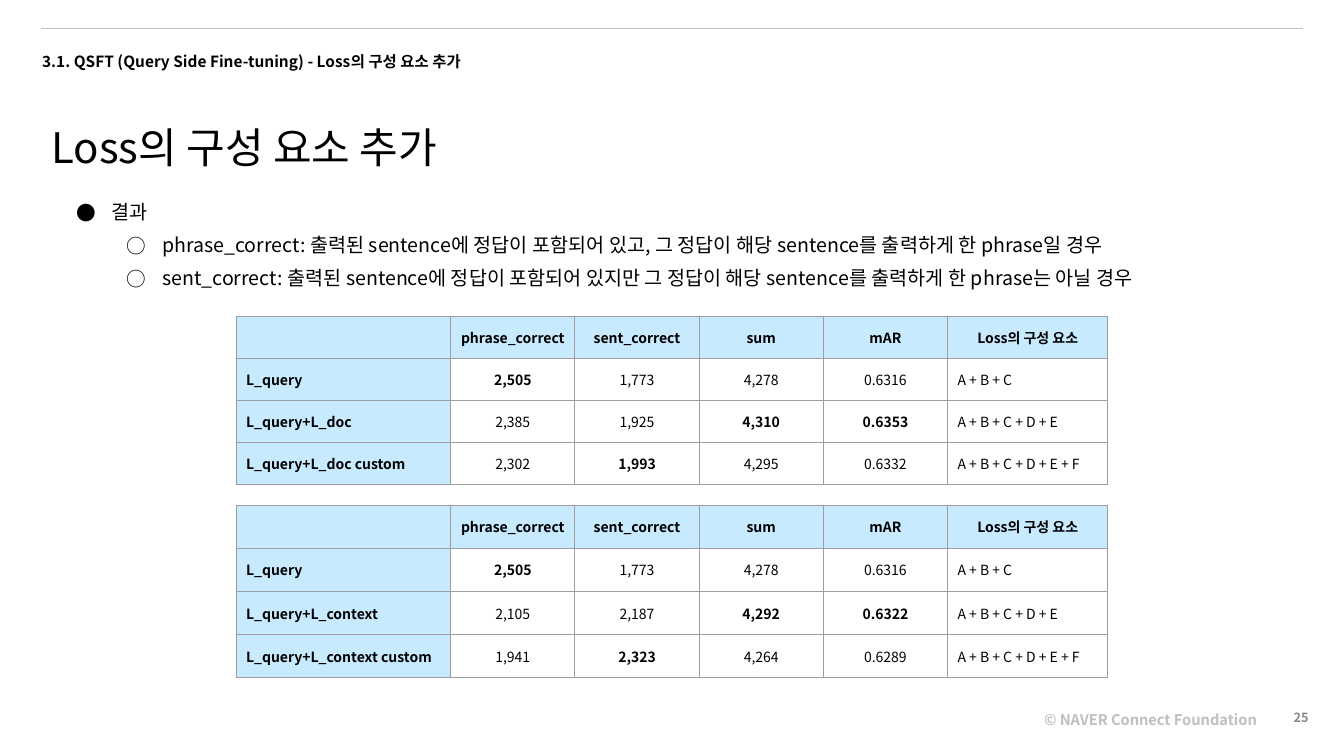
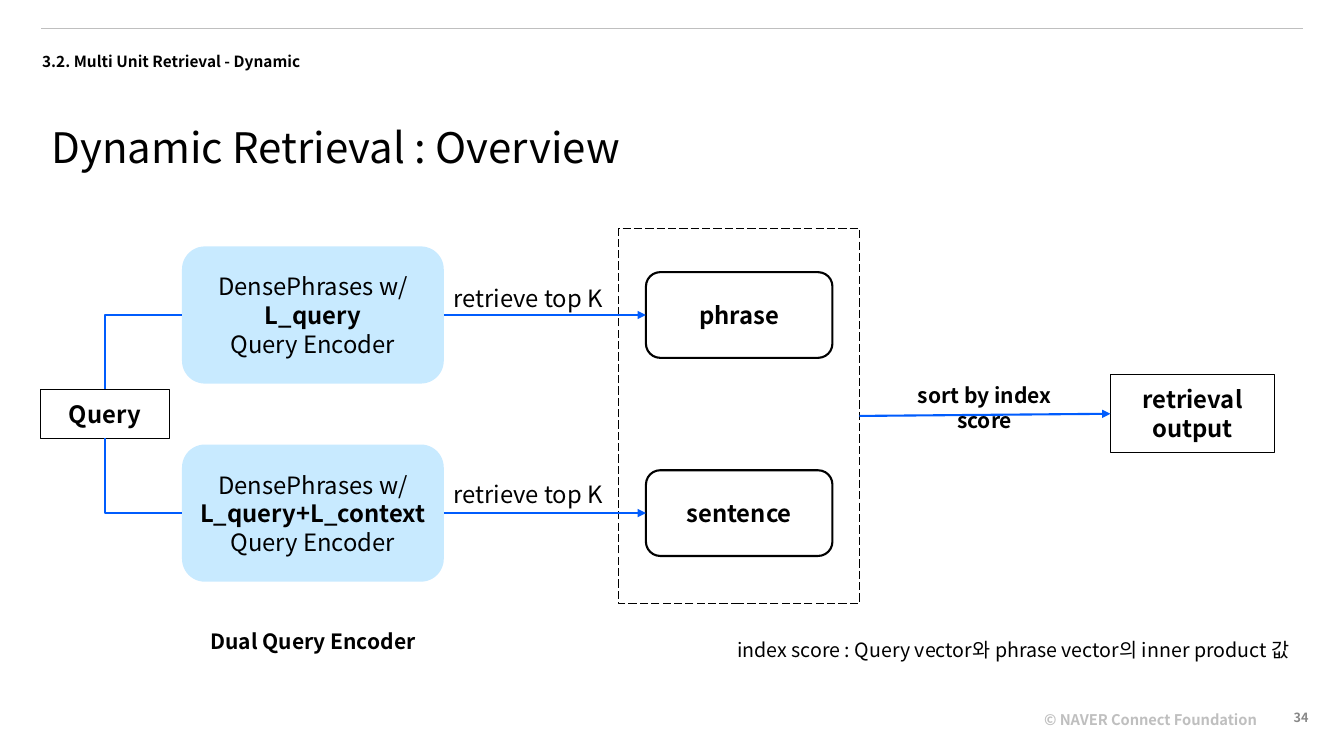
from dataclasses import dataclass

from lxml import etree
from pptx import Presentation
from pptx import util as u
from pptx.dml.color import RGBColor
from pptx.enum import dml, shapes, text
from pptx.oxml import ns

Pt = u.Pt
LEFT, CENTER, RIGHT = text.PP_ALIGN.LEFT, text.PP_ALIGN.CENTER, text.PP_ALIGN.RIGHT
TOP, MIDDLE = text.MSO_ANCHOR.TOP, text.MSO_ANCHOR.MIDDLE
RECT, ROUNDED = shapes.MSO_SHAPE.RECTANGLE, shapes.MSO_SHAPE.ROUNDED_RECTANGLE


@dataclass(frozen=True)
class Theme:
    font: str = "Noto Sans CJK KR"
    ink: str = "000000"
    paper: str = "FFFFFF"
    tint: str = "C8EAFF"
    accent: str = "005CFD"
    rule: str = "BFBFBF"
    number: str = "888888"
    grid: str = "9E9E9E"
    title: float = 30
    node: float = 17
    label: float = 15
    body: float = 14
    section: float = 11
    footer: float = 10.5
    cell: float = 10
    page_number: float = 9


def rgb(value):
    return RGBColor.from_string(value)


def add_xml(parent, tag, **attributes):
    return etree.SubElement(parent, ns.qn(tag), attributes)


class Deck:
    def __init__(self, theme):
        self.theme = theme
        self.deck = Presentation()
        self.deck.slide_width, self.deck.slide_height = Pt(960), Pt(540)
        self.page = None

    # Text
    def style(self, para, size, color=None, bold=False, align=LEFT, spacing=None):
        para.alignment = align
        if spacing:
            para.line_spacing = spacing
        for span in para.runs:
            font = span.font
            font.size, font.bold, font.name = Pt(size), bold, self.theme.font
            font.color.rgb = rgb(color or self.theme.ink)
            add_xml(font._element, "a:ea", typeface=self.theme.font)

    def fill_text(self, box, lines, size, bold_lines=(), inset=7.2, anchor=TOP, grow=True,
                  **look):
        frame = box.text_frame
        frame.text = "\n".join(lines)
        frame.word_wrap = True
        frame.vertical_anchor = anchor
        frame.auto_size = (text.MSO_AUTO_SIZE.SHAPE_TO_FIT_TEXT if grow
                           else text.MSO_AUTO_SIZE.NONE)
        frame.margin_left = frame.margin_right = Pt(7.2)
        frame.margin_top = frame.margin_bottom = Pt(inset)
        for index, para in enumerate(frame.paragraphs):
            self.style(para, size, bold=index in bold_lines, **look)

    def text(self, place, line, size, bold=False, **look):
        box = self.page.shapes.add_textbox(*map(Pt, place))
        self.fill_text(box, [line], size, (0,) if bold else (), **look)

    def bullets(self, place, items):
        box = self.page.shapes.add_textbox(*map(Pt, place))
        self.fill_text(box, [line for _, line in items], self.theme.body, grow=False)
        for para, (level, _) in zip(box.text_frame.paragraphs, items):
            para.level = level
            properties = para._p.get_or_add_pPr()
            properties.set("marL", str(Pt(36 * (level + 1))))
            properties.set("indent", str(-Pt(25.2)))
            color = add_xml(properties, "a:buClr")
            add_xml(color, "a:srgbClr", val=self.theme.ink)
            add_xml(properties, "a:buFont", typeface=self.theme.font)
            add_xml(properties, "a:buChar", char="●○"[level])
            para.line_spacing = 1.4

    # Shapes
    def shape(self, place, kind=RECT, fill=None, line=None, width=0.75, dash=None):
        box = self.page.shapes.add_shape(kind, *map(Pt, place))
        box.shadow.inherit = False
        if fill:
            box.fill.solid()
            box.fill.fore_color.rgb = rgb(fill)
        else:
            box.fill.background()
        if line:
            box.line.color.rgb = rgb(line)
            box.line.width = Pt(width)
            box.line.dash_style = dash
        else:
            box.line.fill.background()
        return box

    # Connectors
    def line(self, start=(0, 0), end=(0, 0), color=None, width=1.5,
             kind=shapes.MSO_CONNECTOR.STRAIGHT):
        link = self.page.shapes.add_connector(kind, *map(Pt, (*start, *end)))
        link.line.color.rgb = rgb(color or self.theme.accent)
        link.line.width = Pt(width)
        add_xml(link._element.spPr, "a:effectLst")
        return link

    def arrow(self, source, target):
        link = self.line()
        link.begin_connect(source, 3)
        link.end_connect(target, 1)
        add_xml(link.line._get_or_add_ln(), "a:tailEnd", type="triangle")

    def elbow(self, source, site, target):
        """One corner: vertical from the source, then level into the target."""
        link = self.line(kind=shapes.MSO_CONNECTOR.ELBOW)
        link.begin_connect(source, site)
        link.end_connect(target, 1)
        left, top = link.left, link.top
        across, down = link.width, link.height
        # A quarter turn swaps the sides of the frame around its centre
        link.left, link.top = left + (across - down) // 2, top + (down - across) // 2
        link.width, link.height = down, across
        properties = link._element.spPr
        properties.find(ns.qn("a:prstGeom")).set("prst", "bentConnector2")
        frame = properties.find(ns.qn("a:xfrm"))
        frame.set("rot", "16200000")
        frame.set("flipH", "1" if site == 2 else "0")
        frame.set("flipV", "0")

    # Tables
    def table(self, left, top, widths, row_height, rows):
        theme = self.theme
        grid = self.page.shapes.add_table(
            len(rows), len(widths), Pt(left), Pt(top),
            Pt(sum(widths)), Pt(row_height * len(rows))).table
        grid.first_row = grid.horz_banding = False
        for column, width in zip(grid.columns, widths):
            column.width = Pt(width)
        best = [max(column) for column in zip(*rows[1:])]
        last = len(widths) - 1
        for r, row in enumerate(rows):
            grid.rows[r].height = Pt(row_height)
            for c, value in enumerate(row):
                heading = r == 0 or c == 0
                bold = heading or (c < last and value == best[c])
                centered = c > 0 and (r == 0 or c < last)
                self.cell(grid.cell(r, c), value, theme.tint if heading else None,
                          bold, CENTER if centered else LEFT)

    def cell(self, cell, value, fill, bold, align):
        cell.text = value
        cell.vertical_anchor = MIDDLE
        cell.margin_left = cell.margin_right = cell.margin_top = cell.margin_bottom = Pt(7.2)
        para = cell.text_frame.paragraphs[0]
        self.style(para, self.theme.cell, bold=bold, align=align)
        if not value:
            add_xml(para._p, "a:endParaRPr", sz=str(self.theme.cell * 100))
        properties = cell._tc.get_or_add_tcPr()
        for side in ("a:lnL", "a:lnR", "a:lnT", "a:lnB"):
            border = add_xml(properties, side, w=str(Pt(0.75)))
            add_xml(add_xml(border, "a:solidFill"), "a:srgbClr", val=self.theme.grid)
        if fill:
            cell.fill.solid()
            cell.fill.fore_color.rgb = rgb(fill)
        else:
            cell.fill.background()

    # Parts that every page shares
    def new_page(self, section, title, number):
        theme = self.theme
        self.page = self.deck.slides.add_slide(self.deck.slide_layouts[5])
        self.page.background.fill.solid()
        self.page.background.fill.fore_color.rgb = rgb(theme.paper)
        self.line((29.5, 20.2), (931, 20.2), theme.rule, 0.75)
        self.text((23, 21.6, 437, 20.9), section, theme.section, True, inset=3.6, spacing=1.91)
        heading = self.page.shapes.title
        heading.left, heading.top, heading.width, heading.height = map(Pt, (29.5, 69.8, 785, 44))
        self.fill_text(heading, [title], theme.title, inset=3.6, spacing=1.38)
        self.text((738.7, 502.6, 172, 20), "© NAVER Connect Foundation", theme.footer, True,
                  inset=3.6, color=theme.rule, spacing=1.1)
        self.text((878.4, 498.2, 63.4, 28.8), number, theme.page_number, True, inset=3.6,
                  anchor=MIDDLE, grow=False, color=theme.number, align=RIGHT)


def results_page(deck):
    deck.new_page("3.1. QSFT (Query Side Fine-tuning) - Loss의 구성 요소 추가",
                  "Loss의 구성 요소 추가", "25")
    deck.bullets((36.7, 128.9, 882.7, 87.8), [
        (0, "결과"),
        (1, "phrase_correct: 출력된 sentence에 정답이 포함되어 있고, "
            "그 정답이 해당 sentence를 출력하게 한 phrase일 경우"),
        (1, "sent_correct: 출력된 sentence에 정답이 포함되어 있지만 "
            "그 정답이 해당 sentence를 출력하게 한 phrase는 아닐 경우"),
    ])
    header = ("", "phrase_correct", "sent_correct", "sum", "mAR", "Loss의 구성 요소")
    baseline = ("L_query", "2,505", "1,773", "4,278", "0.6316", "A + B + C")
    widths = (153.3, *[88.75] * 4, 114.5)
    deck.table(168.6, 226.1, widths, 30.06, [
        header, baseline,
        ("L_query+L_doc", "2,385", "1,925", "4,310", "0.6353", "A + B + C + D + E"),
        ("L_query+L_doc custom", "2,302", "1,993", "4,295", "0.6332", "A + B + C + D + E + F"),
    ])
    deck.table(168.6, 360.9, widths, 30.8, [
        header, baseline,
        ("L_query+L_context", "2,105", "2,187", "4,292", "0.6322", "A + B + C + D + E"),
        ("L_query+L_context custom", "1,941", "2,323", "4,264", "0.6289",
         "A + B + C + D + E + F"),
    ])


def overview_page(deck):
    theme = deck.theme
    deck.new_page("3.2. Multi Unit Retrieval - Dynamic", "Dynamic Retrieval : Overview", "34")
    units = deck.shape((441.8, 163.2, 172, 267.8), fill=theme.paper, line=theme.ink,
                       dash=dml.MSO_LINE.LONG_DASH)
    query = deck.shape((28.8, 278, 92.2, 35.2), line=theme.ink)
    deck.fill_text(query, ["Query"], theme.node, (0,), align=CENTER)

    # Two encoder branches, each retrieving one unit
    branches = [(225, 195.8, 0, "L_query", "phrase"),
                (366.5, 335.5, 2, "L_query+L_context", "sentence")]
    for middle, label_top, site, loss, unit in branches:
        encoder = deck.shape((130, middle - 49, 187, 98), ROUNDED, fill=theme.tint)
        deck.fill_text(encoder, ["DensePhrases w/", loss, "Query Encoder"], theme.node, (1,),
                       anchor=MIDDLE, grow=False, align=CENTER)
        result = deck.shape((461.4, middle - 30.6, 133.2, 61.2), ROUNDED,
                            line=theme.ink, width=1.5)
        deck.fill_text(result, [unit], theme.node, (0,), anchor=MIDDLE, grow=False,
                       align=CENTER)
        deck.elbow(query, site, encoder)
        deck.arrow(encoder, result)
        deck.text((305.3, label_top, 144, 35.3), "retrieve top K", theme.node, align=CENTER)

    # Merged output
    output = deck.shape((793.2, 267.8, 117.4, 55.5), line=theme.ink)
    deck.fill_text(output, ["retrieval output"], theme.node, (0,), align=CENTER)
    deck.arrow(units, output)

    # Captions
    for place, line, size, bold in [
        ((631.4, 265.7, 144, 32.4), "sort by index score", theme.label, True),
        ((140.4, 441.4, 166.3, 32.4), "Dual Query Encoder", theme.label, True),
        ((505.4, 448.6, 437, 31.7),
         "index score : Query vector와 phrase vector의 inner product 값", theme.body, False),
    ]:
        deck.text(place, line, size, bold, align=CENTER)


def main():
    deck = Deck(Theme())
    results_page(deck)
    overview_page(deck)
    deck.deck.save("out.pptx")


if __name__ == "__main__":
    main()
